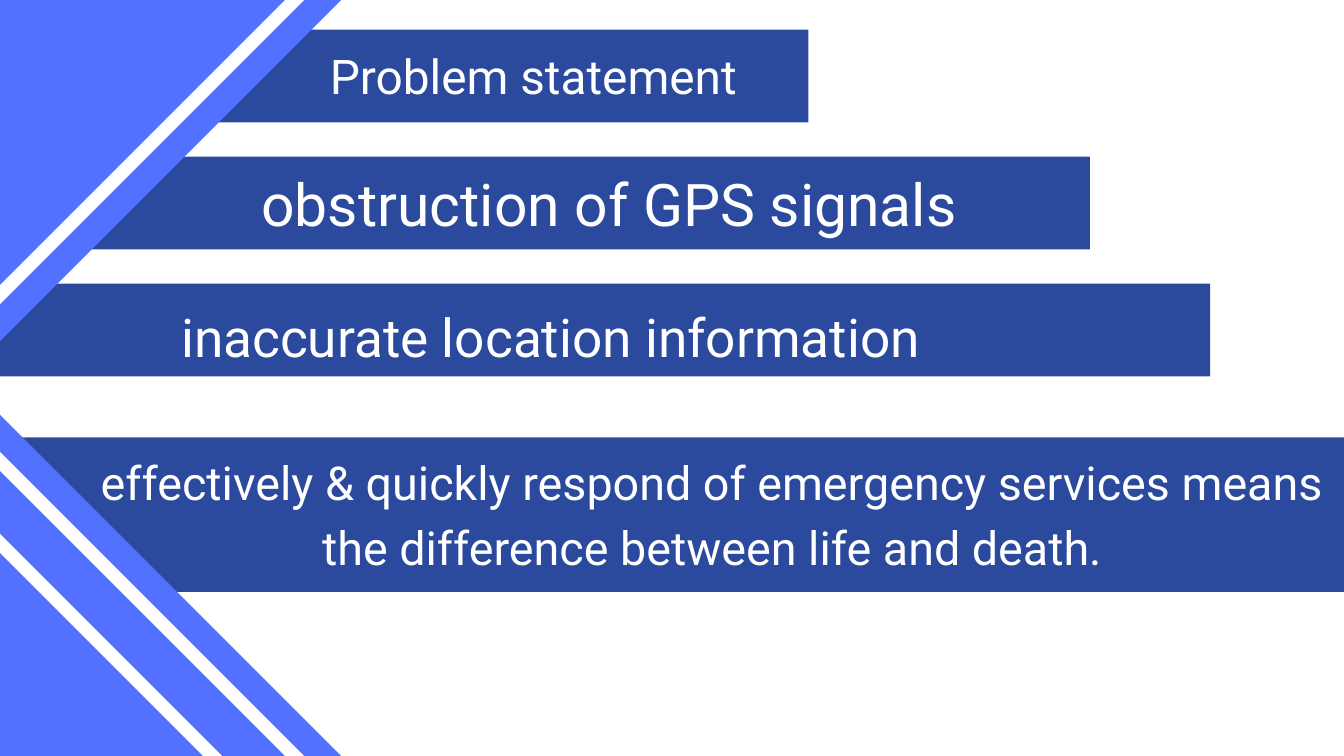
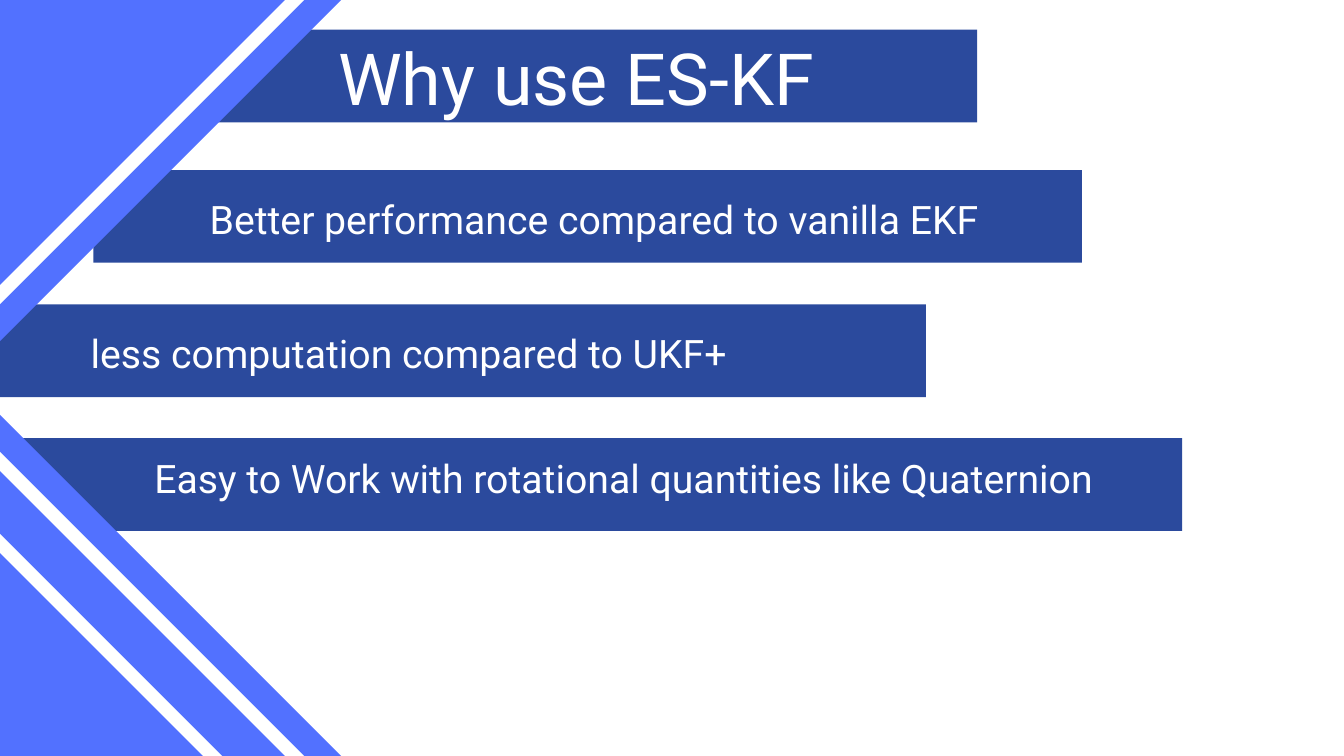
"""Build two slides of text bars running out of blue diamond corners."""
from dataclasses import dataclass

from pptx import Presentation
from pptx.dml.color import RGBColor
from pptx.enum.shapes import MSO_SHAPE as Preset
from pptx.enum.text import MSO_ANCHOR as Anchor, MSO_AUTO_SIZE as AutoSize, PP_ALIGN as Align
from pptx.util import Emu, Pt

EMU_PER_PX = 9144
SLIDE_WIDTH, SLIDE_HEIGHT = 2000, 1125
TITLE_ONLY = 5
NAVY, BLUE, WHITE = "2B4A9D", "5271FF", "FFFFFF"
FONT = "Roboto"
LEADING = 1.4
BAR_HEIGHT = 138
DIAMOND_SIDE, RING_SIDE, RING_WIDTH = 718, 640, 20
TOP_CORNER = (0,)
BOTTOM_CORNER = (SLIDE_HEIGHT, SLIDE_HEIGHT + 122)
FRAME_FORMAT = {
    "margin_left": 0, "margin_top": 0, "margin_right": 0, "margin_bottom": 0,
    "word_wrap": True, "auto_size": AutoSize.SHAPE_TO_FIT_TEXT,
    "vertical_anchor": Anchor.TOP,
}


@dataclass(frozen=True)
class Area:
    left: int
    top: int
    width: int
    height: int = BAR_HEIGHT

    def emu(self) -> tuple:
        return tuple(px(side) for side in (self.left, self.top, self.width, self.height))


@dataclass(frozen=True)
class Line:
    text: str
    size: float
    bar: Area
    area: Area


PAGES = (
    (
        Line("Problem statement", 51.2, Area(112, 44, 1091), Area(451, 56, 686, 194)),
        Line("obstruction of GPS signals", 63, Area(112, 233, 1510), Area(345, 232, 1123, 118)),
        Line("inaccurate location information", 57, Area(0, 422, 1801), Area(0, 437, 1639, 107)),
        Line("effectively & quickly respond of emergency services means "
             "the difference between life and death.",
             50, Area(0, 651, 2000, 230), Area(116, 661, 1888, 191)),
    ),
    (
        Line("Why use ES-KF ", 77, Area(156, 44, 1298), Area(475, 28, 792, 143)),
        Line("Better performance compared to vanilla EKF ", 42,
             Area(139, 253, 1471), Area(156, 279, 1471, 78)),
        Line("less computation compared to UKF+ ", 42,
             Area(0, 453, 1378), Area(-56, 478, 1343, 78)),
        Line("Easy to Work with rotational quantities like Quaternion ", 42,
             Area(0, 652, 1759), Area(112, 664, 1647, 249)),
    ),
)


def px(length: int) -> Emu:
    """Turn px into EMU."""
    return Emu(length * EMU_PER_PX)


def paint(fill, color: str) -> None:
    """Give a fill one solid colour."""
    fill.solid()
    fill.fore_color.rgb = RGBColor.from_string(color)


def add_block(page, preset, area: Area, color: str):
    """Draw a flat shape without an outline."""
    block = page.shapes.add_shape(preset, *area.emu())
    block.shadow.inherit = False
    paint(block.fill, color)
    block.line.fill.background()
    return block


def add_corner(page, centers: tuple) -> None:
    """Draw ringed diamonds centred on the left edge."""
    for center in centers:
        for preset, side, color in ((Preset.RECTANGLE, DIAMOND_SIDE, BLUE),
                                    (Preset.FRAME, RING_SIDE, WHITE)):
            half = side // 2
            block = add_block(page, preset, Area(-half, center - half, side, side), color)
            block.rotation = 45
            if preset == Preset.FRAME:
                block.adjustments[0] = RING_WIDTH / side


def write_line(box, line: Line) -> None:
    """Place a text holder and set its words."""
    box.left, box.top, box.width, box.height = line.area.emu()
    frame = box.text_frame
    for name, value in FRAME_FORMAT.items():
        setattr(frame, name, value)
    para = frame.paragraphs[0]
    para.alignment = Align.CENTER
    para.line_spacing = Pt(round(line.size * LEADING, 1))
    span = para.add_run()
    span.text = line.text
    for name, value in {"name": FONT, "size": Pt(line.size), "bold": False}.items():
        setattr(span.font, name, value)
    paint(span.font.fill, WHITE)


def build_page(deck, lines: tuple) -> None:
    """Build a slide from a title line and three points."""
    page = deck.slides.add_slide(deck.slide_layouts[TITLE_ONLY])
    paint(page.background.fill, WHITE)
    *upper, last = lines
    for line in upper:
        add_block(page, Preset.RECTANGLE, line.bar, NAVY)
    add_corner(page, TOP_CORNER)
    add_block(page, Preset.RECTANGLE, last.bar, NAVY)
    add_corner(page, BOTTOM_CORNER)
    heading, *points = lines
    title = page.shapes.title
    title.element.getparent().append(title.element)
    write_line(title, heading)
    for point in points:
        write_line(page.shapes.add_textbox(*point.area.emu()), point)


def main() -> None:
    """Build and save the deck."""
    deck = Presentation()
    deck.slide_width, deck.slide_height = px(SLIDE_WIDTH), px(SLIDE_HEIGHT)
    for lines in PAGES:
        build_page(deck, lines)
    deck.save("out.pptx")


if __name__ == "__main__":
    main()
